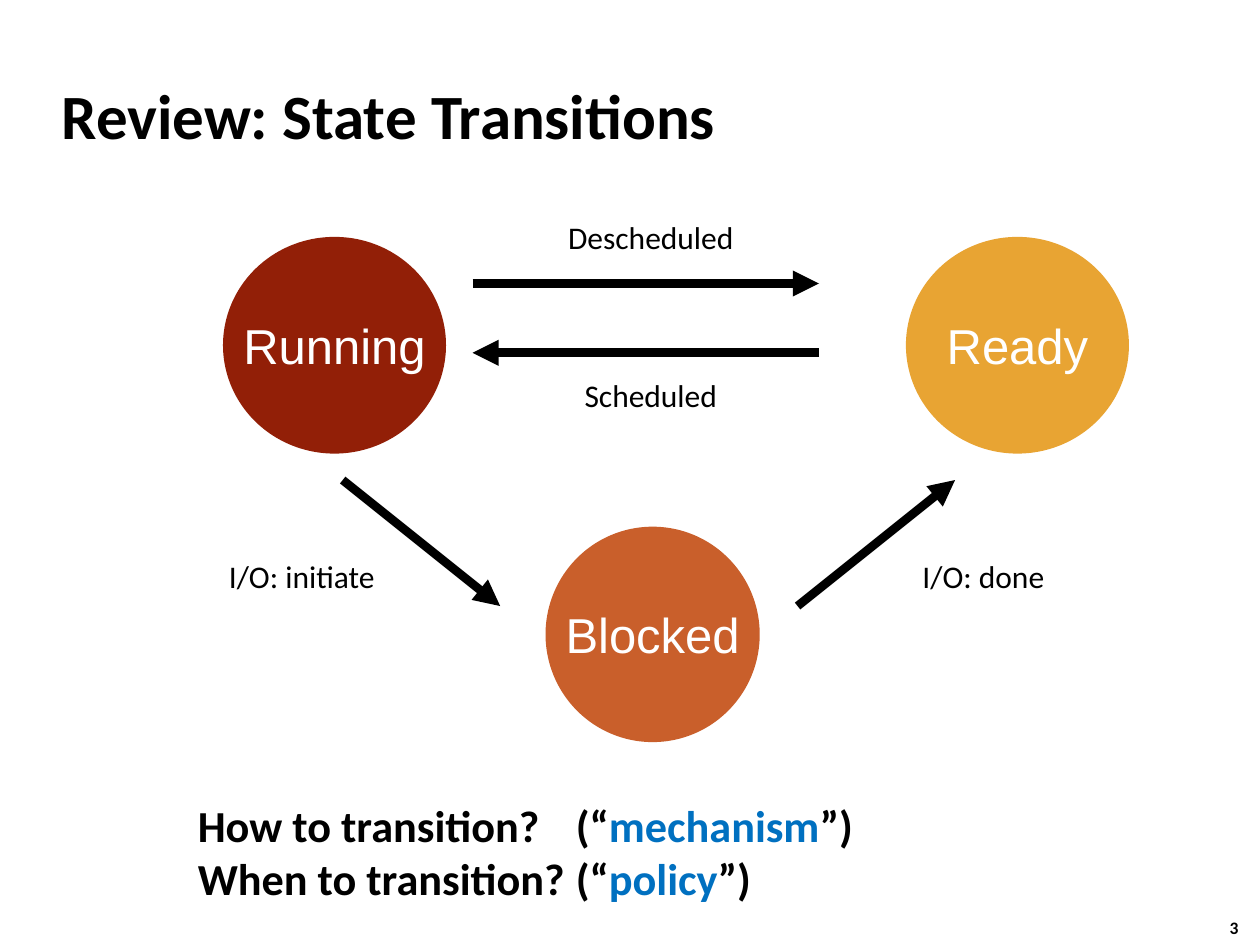
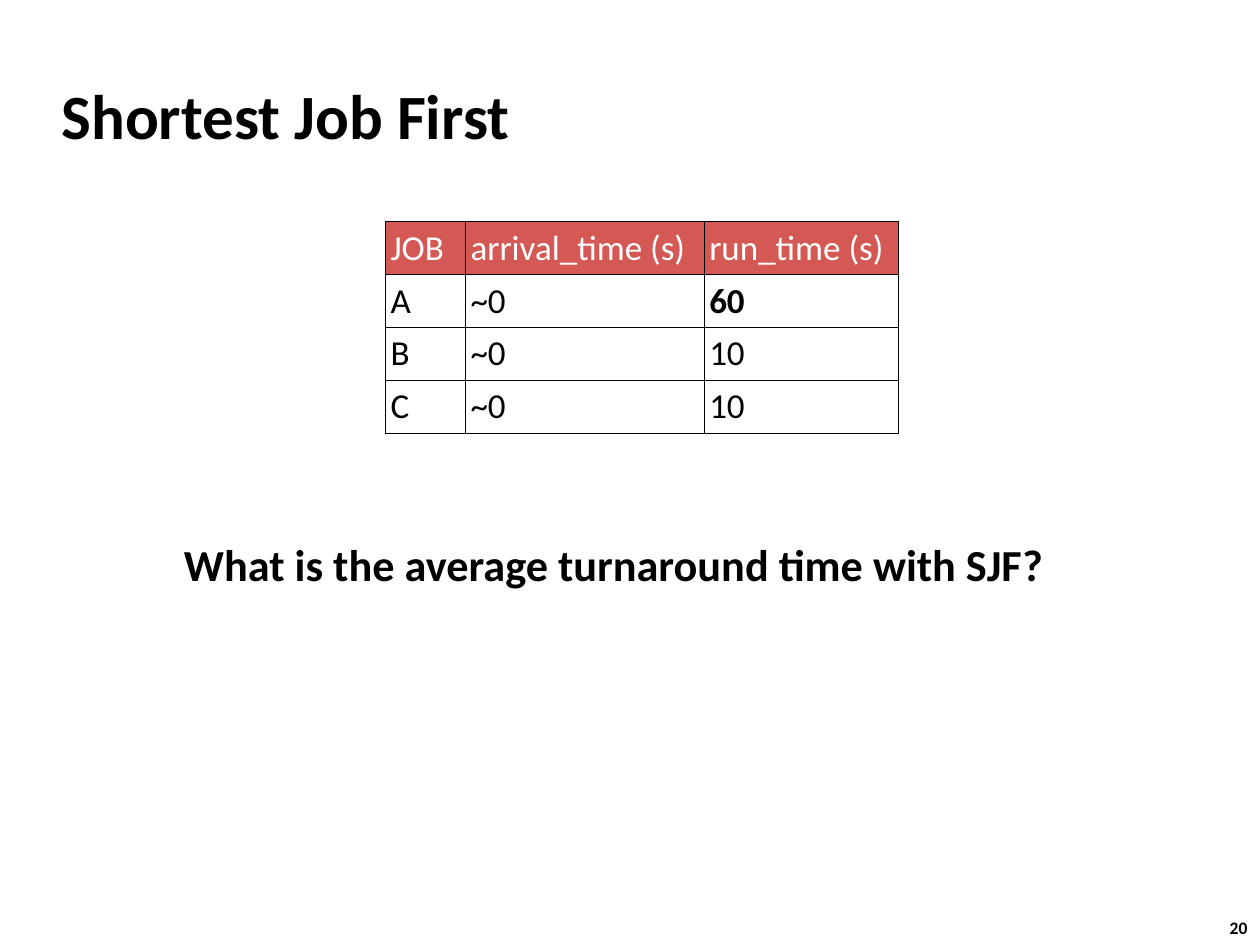
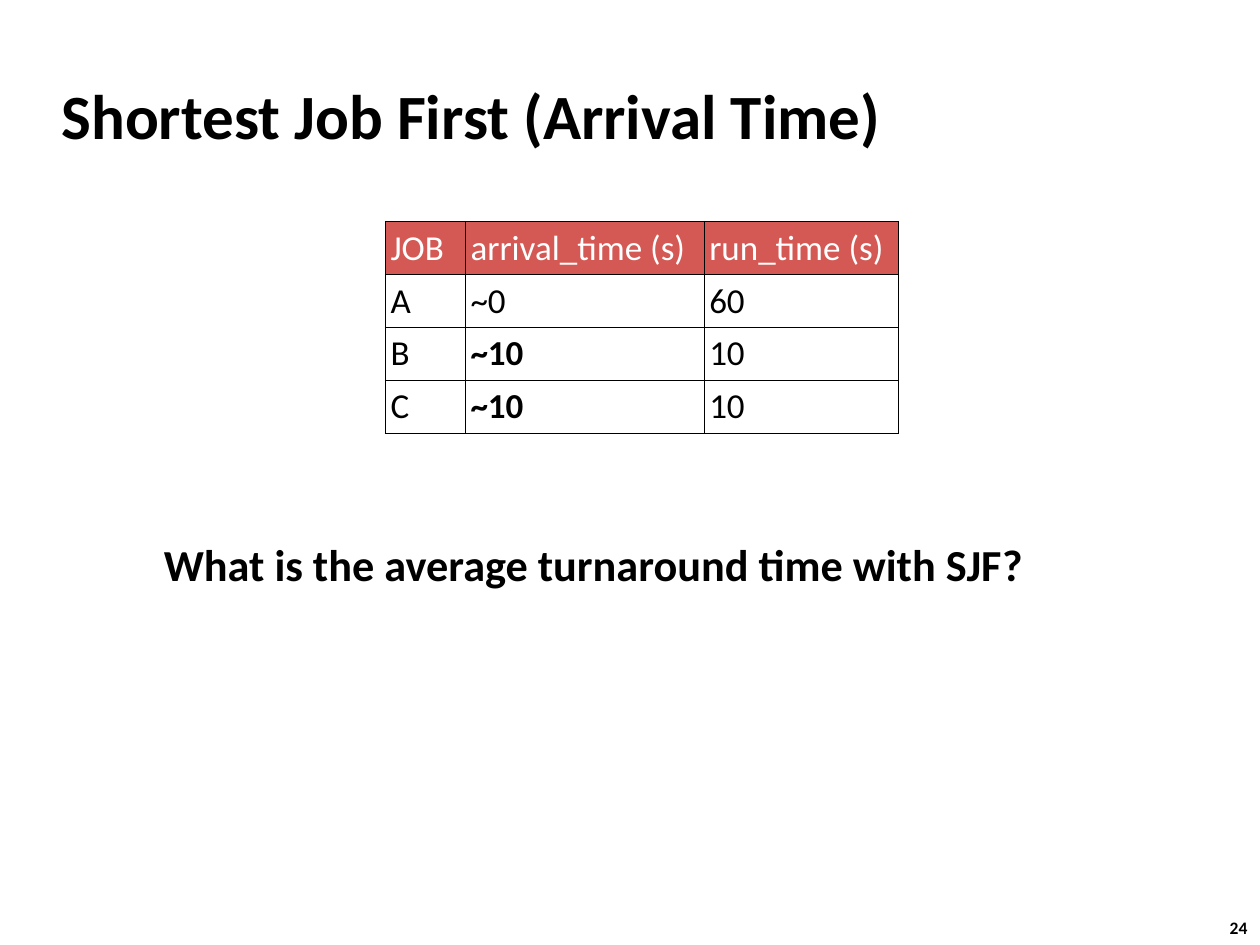
from lxml.etree import SubElement
from pptx import Presentation
from pptx.dml.color import RGBColor
from pptx.enum.shapes import MSO_CONNECTOR, MSO_SHAPE
from pptx.enum.text import MSO_ANCHOR, PP_ALIGN
from pptx.oxml.ns import qn
from pptx.util import Emu, Inches, Pt

# The slide is a grid of 100 columns by 75 rows of square cells.
COLS, ROWS = 100, 75
CELL = Inches(0.1)

BLACK, WHITE, BLUE = "000000", "FFFFFF", "0070C0"
RUNNING, READY, BLOCKED = "921F07", "E8A433", "C95F2B"
HEADER = "D45954"
BODY_FONT, STATE_FONT = "Calibri", "Arial"
QUESTION_SIZE = 25.3
INSET = 0.4

JOB_HEADER = ("JOB", "arrival_time (s)", "run_time (s)")
JOB_COLS = (6.35, 18.95, 15.4)
JOB_ROW = 4.2
QUESTION = "What is the average turnaround time with SJF?"


def rgb(color):
    return RGBColor.from_string(color)


def grid(*cells):
    """Turn numbers of grid cells into lengths."""
    return [Emu(round(n * CELL)) for n in cells]


def add_run(p, text, size, color=BLACK, bold=False, font=BODY_FONT):
    r = p.add_run()
    r.text = text
    r.font.size = Pt(size)
    r.font.name = font
    r.font.bold = bold
    r.font.color.rgb = rgb(color)


def set_frame(tf, inset, wrap):
    tf.margin_left, tf.margin_top, tf.margin_right, tf.margin_bottom = grid(*[inset] * 4)
    tf.vertical_anchor = MSO_ANCHOR.MIDDLE
    tf.word_wrap = wrap


def add_text(slide, box, lines, size, bold=False, inset=INSET, centred=False, tab=None):
    """Each line is a list of (text, color) runs; tab is a stop in grid columns."""
    tf = slide.shapes.add_textbox(*grid(*box)).text_frame
    set_frame(tf, inset, wrap=not centred)
    for i, runs in enumerate(lines):
        p = tf.add_paragraph() if i else tf.paragraphs[0]
        if tab:
            tabs = SubElement(p._p.get_or_add_pPr(), qn("a:tabLst"))
            SubElement(tabs, qn("a:tab"), pos=str(grid(tab)[0]), algn="l")
        p.alignment = PP_ALIGN.CENTER if centred else PP_ALIGN.LEFT
        for text, color in runs:
            add_run(p, text, size, color, bold)


def add_label(slide, box, text):
    add_text(slide, box, [[(text, BLACK)]], 18, inset=0.6, centred=True)


def add_question(slide, left):
    add_text(slide, (left, 42.2, 70.5, 5.1), [[(QUESTION, BLACK)]], QUESTION_SIZE, bold=True)


def add_state(slide, box, name, color):
    sp = slide.shapes.add_shape(MSO_SHAPE.OVAL, *grid(*box))
    sp.shadow.inherit = False
    sp.fill.solid()
    sp.fill.fore_color.rgb = rgb(color)
    sp.line.fill.background()
    set_frame(sp.text_frame, 0, wrap=False)
    p = sp.text_frame.paragraphs[0]
    p.alignment = PP_ALIGN.CENTER
    add_run(p, name, 28, WHITE, font=STATE_FONT)


def add_arrow(slide, start, end):
    line = slide.shapes.add_connector(MSO_CONNECTOR.STRAIGHT, *grid(*start, *end))
    line.line.width = Pt(5)
    line.line.color.rgb = rgb(BLACK)
    SubElement(line.line._get_or_add_ln(), qn("a:tailEnd"), type="triangle")
    SubElement(line._element.spPr, qn("a:effectLst"))


def add_borders(cell):
    tc_pr = cell._tc.get_or_add_tcPr()
    for side in "LRTB":
        ln = SubElement(tc_pr, qn(f"a:ln{side}"), w=str(Pt(1)))
        fill = SubElement(ln, qn("a:solidFill"))
        SubElement(fill, qn("a:srgbClr"), val=BLACK)


def fill_cell(cell, text, is_header, bold):
    cell.margin_left, cell.margin_top, cell.margin_right, cell.margin_bottom = grid(*[INSET] * 4)
    cell.vertical_anchor = MSO_ANCHOR.MIDDLE
    add_borders(cell)
    if is_header:
        cell.fill.solid()
        cell.fill.fore_color.rgb = rgb(HEADER)
    else:
        cell.fill.background()
    add_run(cell.text_frame.paragraphs[0], text, 20, WHITE if is_header else BLACK, bold)


def add_job_table(slide, jobs, changed):
    """changed holds the (row, column) places of the values shown in bold."""
    rows = [JOB_HEADER, *jobs]
    box = grid(30.6, 17.6, sum(JOB_COLS), JOB_ROW * len(rows))
    table = slide.shapes.add_table(len(rows), len(JOB_COLS), *box).table
    table.horz_banding = False
    for column, width in zip(table.columns, grid(*JOB_COLS)):
        column.width = width
    for i, row in enumerate(rows):
        for j, text in enumerate(row):
            fill_cell(table.cell(i, j), text, i == 0, (i, j) in changed)


def add_slide(prs, title, number):
    slide = prs.slides.add_slide(prs.slide_layouts[6])
    add_text(slide, (97.6, 72.8, 2.4, 1.7), [[(number, BLACK)]], 10, bold=True, inset=0)
    add_text(slide, (3.9, 4.9, 83, 8.3), [[(title, BLACK)]], 36, bold=True, inset=1)
    return slide


def state_transitions(prs):
    slide = add_slide(prs, "Review: State Transitions", "3")
    add_text(slide, (15.3, 62.9, 55, 9.3),
             [[("How to transition?\t(“", BLACK), ("mechanism", BLUE), ("”)", BLACK)],
              [("When to transition?\t(“", BLACK), ("policy", BLUE), ("”)", BLACK)]],
             QUESTION_SIZE, bold=True, tab=30)
    add_state(slide, (17.7, 18.8, 17.7, 17.2), "Running", RUNNING)
    add_state(slide, (71.9, 18.8, 17.7, 17.2), "Ready", READY)
    add_state(slide, (43.3, 41.8, 17, 17.1), "Blocked", BLOCKED)
    for start, end in (((37.5, 22.5), (65, 22.5)), ((65, 28), (37.5, 28)),
                       ((27.2, 38.1), (39.7, 48.1)), ((63.3, 48.1), (75.8, 38.1))):
        add_arrow(slide, start, end)
    add_label(slide, (45.6, 29.2, 12.1, 4.2), "Scheduled")
    add_label(slide, (44.2, 16.7, 14.9, 4.2), "Descheduled")
    add_label(slide, (17.5, 43.6, 12.9, 4.2), "I/O: initiate")
    add_label(slide, (72.6, 43.6, 10.9, 4.2), "I/O: done")


def shortest_job(prs):
    slide = add_slide(prs, "Shortest Job First", "20")
    jobs = [("A", "~0", "60"), ("B", "~0", "10"), ("C", "~0", "10")]
    add_job_table(slide, jobs, changed={(1, 2)})
    add_question(slide, 14.2)


def shortest_job_arrival(prs):
    slide = add_slide(prs, "Shortest Job First (Arrival Time)", "24")
    jobs = [("A", "~0", "60"), ("B", "~10", "10"), ("C", "~10", "10")]
    add_job_table(slide, jobs, changed={(2, 1), (3, 1)})
    add_question(slide, 12.6)


def main():
    prs = Presentation()
    prs.slide_width, prs.slide_height = grid(COLS, ROWS)
    state_transitions(prs)
    shortest_job(prs)
    shortest_job_arrival(prs)
    prs.save("out.pptx")


if __name__ == "__main__":
    main()
